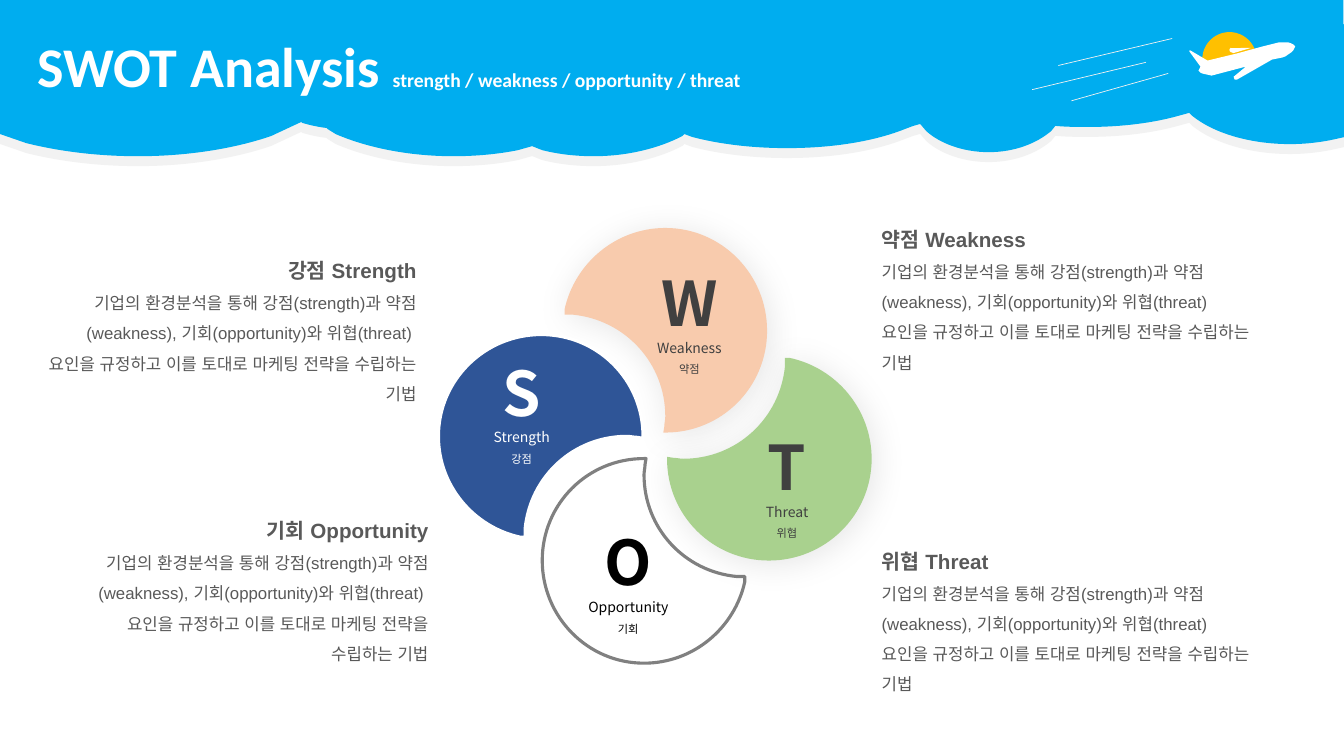
from math import cos, radians, sin

from lxml.etree import SubElement
from pptx import Presentation
from pptx.dml.color import RGBColor
from pptx.enum.shapes import MSO_CONNECTOR as CONN, MSO_SHAPE as SHAPE
from pptx.enum.text import MSO_AUTO_SIZE as AUTO, PP_ALIGN as ALIGN
from pptx.oxml.ns import qn
from pptx.util import Cm, Pt

WHITE = RGBColor(0xFF, 0xFF, 0xFF)
BLACK = RGBColor(0x00, 0x00, 0x00)
MIST = RGBColor(0xF2, 0xF2, 0xF2)
SKY_BLUE = RGBColor(0x00, 0xAD, 0xEF)
SUN = RGBColor(0xFF, 0xC0, 0x00)
PEACH = RGBColor(0xF8, 0xCB, 0xAD)
NAVY = RGBColor(0x2F, 0x55, 0x97)
GREEN = RGBColor(0xA9, 0xD1, 0x8E)
GRAY = RGBColor(0x80, 0x80, 0x80)
DARK = RGBColor(0x40, 0x40, 0x40)
BODY = RGBColor(0x59, 0x59, 0x59)
FINE = 10
UNIT = Cm(2.54) / 100 / FINE

SKY = [
    (589, -1), (607, 0), (1333, 0), (1333, 24), (1334, 25), (1334, 136), (1325, 138),
    (1312, 141, 1296, 143, 1280, 143), (1240, 143, 1204, 132, 1183, 115),
    (1180, 112), (1169, 115), (1144, 122, 1113, 126, 1080, 126),
    (1069, 126, 1059, 126, 1048, 125), (1047, 125), (1043, 130),
    (1029, 142, 1007, 151, 981, 151), (955, 151, 932, 142, 919, 130),
    (913, 123), (906, 125), (898, 128), (868, 140, 827, 147, 781, 147),
    (746, 147, 714, 143, 687, 136), (679, 133), (677, 135),
    (654, 147, 623, 155, 589, 155), (571, 155, 554, 153, 538, 149),
    (528, 145), (514, 149), (494, 153, 472, 155, 450, 155),
    (404, 155, 363, 146, 333, 133), (325, 128), (324, 127),
    (315, 126, 307, 124, 300, 122), (299, 121), (269, 135),
    (234, 147, 188, 155, 137, 155), (96, 155, 58, 150, 26, 142), (0, 133),
    (0, 22), (0, 0), (572, 0),
]
PLANE = [
    (1180, 50), (1181, 50), (1198, 60), (1227, 53), (1253, 46), (1269, 42),
    (1274, 42), (1278, 42), (1281, 43), (1283, 44), (1284, 45), (1285, 46),
    (1284, 48), (1283, 50), (1281, 52), (1278, 54), (1275, 56), (1272, 57),
    (1262, 59), (1227, 79), (1225, 79), (1224, 77), (1224, 76), (1236, 66),
    (1202, 75), (1193, 73), (1191, 72), (1190, 71), (1189, 70), (1190, 68),
    (1191, 66), (1180, 51),
]
WING = [(1221, 48), (1222, 48), (1241, 48), (1224, 53), (1221, 52), (1220, 51),
        (1220, 50), (1220, 49)]
PETAL = [
    (102, 0), (158, 0, 203, 45, 203, 101), (203, 103), (197, 102),
    (194, 102, 190, 101, 187, 101), (134, 101, 91, 141, 86, 193),
    (86, 201), (81, 201), (35, 191, 0, 150, 0, 101), (0, 45, 46, 0, 102, 0),
]


def turn(path, angle, cx, cy):
    """Rotate points clockwise around a centre."""
    c, s = cos(radians(angle)), sin(radians(angle))
    return [(cx + (x - cx) * c - (y - cy) * s, cy + (x - cx) * s + (y - cy) * c)
            for x, y in path]


class Deck:
    """Holds the style and the current slide, and draws its elements."""

    def __init__(self):
        self.prs = Presentation()
        self.prs.slide_width, self.prs.slide_height = Cm(33.87), Cm(19.05)
        self.s = self.prs.slides.add_slide(self.prs.slide_layouts[6])
        self.shapes = self.s.shapes

    def paint(self, sp, fill, line=None):
        sp.shadow.inherit = False
        sp.fill.solid()
        sp.fill.fore_color.rgb = fill
        if line is None:
            sp.line.fill.background()
        else:
            sp.line.color.rgb = line
            sp.line.width = Pt(2.25)
        return sp

    def outline(self, path, fill, x=0, y=0, line=None, angle=0):
        path = [[round(v * FINE) for v in item] for item in path]
        ends = [item[-2:] for item in path]
        fb = self.shapes.build_freeform(*ends[0], scale=UNIT)
        fb.add_line_segments(ends[1:], close=True)
        sp = fb.convert_to_shape(Cm(x), Cm(y))
        left, top = (min(values) for values in zip(*ends))
        segments = list(sp._element.iter(qn("a:lnTo")))
        for item, segment in zip(path[1:], segments):
            if len(item) == 6:
                curve = SubElement(segment.getparent(), qn("a:cubicBezTo"))
                for px, py in zip(item[::2], item[1::2]):
                    SubElement(curve, qn("a:pt"), x=str(px - left), y=str(py - top))
                segment.getparent().replace(segment, curve)
        sp.rotation = angle
        return self.paint(sp, fill, line)

    def soft_shadow(self, sp):
        effects = sp._element.spPr.find(qn("a:effectLst"))
        shadow = SubElement(effects, qn("a:outerShdw"), blurRad=str(Pt(24)),
                            dist=str(Pt(3)), dir="2700000", rotWithShape="0")
        color = SubElement(shadow, qn("a:srgbClr"), val=str(BLACK))
        SubElement(color, qn("a:alpha"), val="10000")

    def sun(self, x, y, size):
        sp = self.shapes.add_shape(SHAPE.CHORD, Cm(x), Cm(y), Cm(size), Cm(size))
        sp.adjustments[0], sp.adjustments[1] = 103.44, 5.09
        self.paint(sp, SUN)

    def streak(self, x1, y1, x2, y2):
        c = self.shapes.add_connector(CONN.STRAIGHT, Cm(x1), Cm(y1), Cm(x2), Cm(y2))
        c.line.color.rgb = MIST
        c.line.width = Pt(0.5)
        SubElement(c._element.spPr, qn("a:effectLst"))

    def text(self, box, paragraphs, font, color, align=ALIGN.LEFT):
        tb = self.shapes.add_textbox(*(Cm(v) for v in box))
        tf = tb.text_frame
        tf.word_wrap = True
        tf.auto_size = AUTO.SHAPE_TO_FIT_TEXT
        for i, (spacing, runs) in enumerate(paragraphs):
            p = tf.add_paragraph() if i else tf.paragraphs[0]
            p.alignment = align
            p.line_spacing = spacing
            for words, size, bold in runs:
                r = p.add_run()
                r.text = words
                r.font.size, r.font.bold, r.font.name = Pt(size), bold, font
                r.font.color.rgb = color
                SubElement(r._r.get_or_add_rPr(), qn("a:ea"), typeface=font)

    def label(self, box, name, korean, color):
        self.text(box, [(1.0, [(name[0], 44, True)]), (1.0, [(name, 10, False)]),
                        (1.5, [(korean, 8, False)])],
                  "Noto Sans CJK KR", color, ALIGN.CENTER)

    def note(self, box, name, korean, align):
        tail = " " if align == ALIGN.RIGHT else ""
        self.text(box, [
            (1.5, [(f"{korean} {name}", 14.7, True)]),
            (1.5, [("기업의 환경분석을 통해 강점(strength)과 약점(weakness), "
                    "기회(opportunity)와 위협(threat)" + tail, 12, False)]),
            (1.5, [("요인을 규정하고 이를 토대로 마케팅 전략을 수립하는 기법", 12, False)]),
        ], "Arial", BODY, align)


def main():
    d = Deck()
    d.outline(SKY, MIST, y=0.25)
    d.outline(SKY, SKY_BLUE)

    d.shapes = d.s.shapes.add_group_shape().shapes
    d.sun(30.3, 0.81, 1.37)
    d.outline(turn(PLANE, 35, 1231.5, 50.5), WHITE, angle=325)
    d.outline(turn(WING, 35, 1230.5, 48.5), WHITE, angle=325)
    for ends in [(26.01, 2.26, 28.88, 1.57), (27, 2.54, 29.44, 1.85),
                 (26.67, 1.65, 29.54, 0.97)]:
        d.streak(*ends)
    d.shapes = d.s.shapes

    d.text((0.69, 0.66, 19.38, 1.96),
           [(1.0, [("SWOT Analysis ", 40, True),
                   ("strength / weakness / opportunity / threat", 14, True)])],
           "Calibri", WHITE)

    for x, y, angle, fill, line in [
            (14.2, 5.77, 90, PEACH, None), (11.05, 8.43, 0, NAVY, WHITE),
            (13.64, 11.58, 270, WHITE, GRAY), (16.81, 9.02, 180, GREEN, None)]:
        petal = d.outline(PETAL, fill, x, y, line, angle)
        if line is None:
            d.soft_shadow(petal)

    topics = [
        ("Strength", "강점", WHITE, (11.78, 8.81, 2.74, 3.02),
         (0.95, 6.07, 9.8, 4.27), ALIGN.RIGHT),
        ("Weakness", "약점", DARK, (15.7, 6.56, 3.35, 3.07),
         (21.97, 5.28, 10.21, 4.27), ALIGN.LEFT),
        ("Opportunity", "기회", BLACK, (14.21, 13.09, 3.25, 3.07),
         (2.13, 12.62, 8.92, 5.05), ALIGN.RIGHT),
        ("Threat", "위협", DARK, (18.3, 10.69, 3.07, 3.07),
         (21.97, 13.39, 9.93, 4.27), ALIGN.LEFT),
    ]
    for name, korean, color, label_box, _, _ in topics:
        d.label(label_box, name, korean, color)
    for name, korean, _, _, note_box, align in topics:
        d.note(note_box, name, korean, align)
    d.prs.save("out.pptx")


if __name__ == "__main__":
    main()
